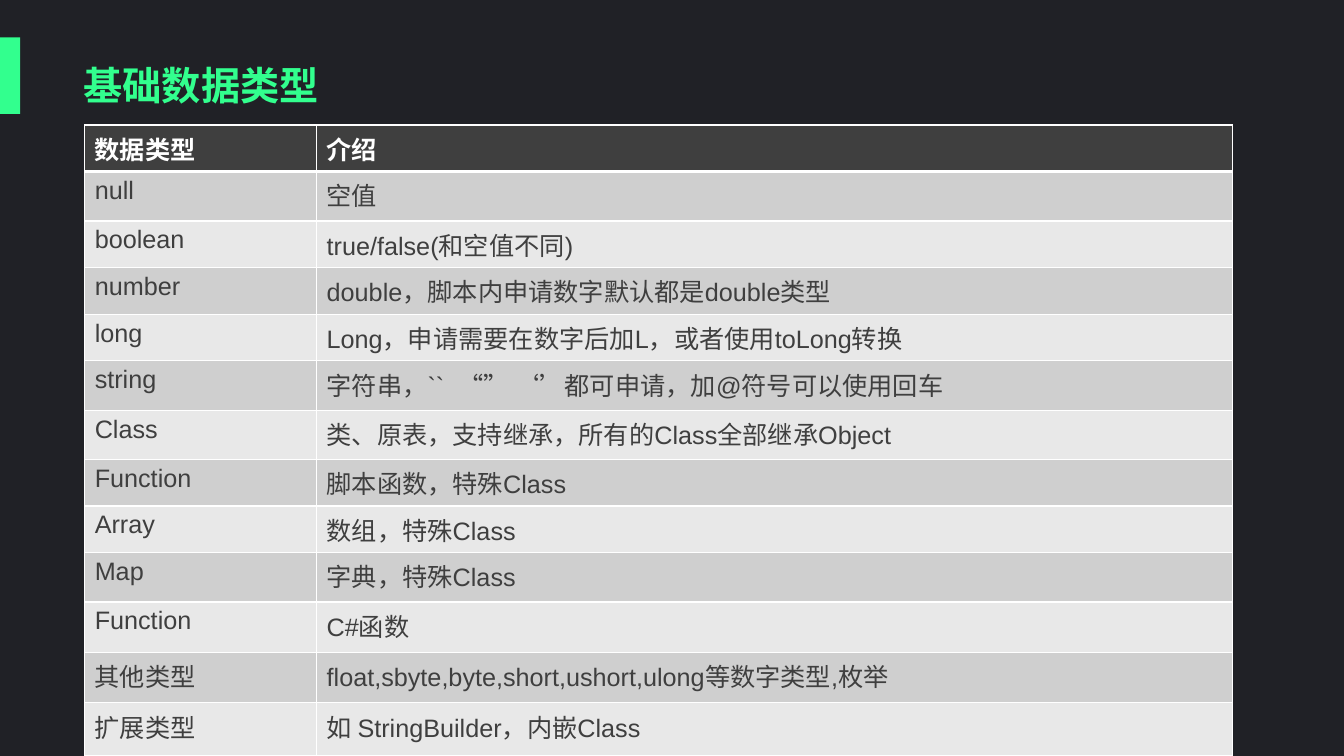
"""Build the slide that lists the basic data types of a scripting language."""
from dataclasses import dataclass

from lxml.etree import SubElement
from pptx import Presentation
from pptx.dml.color import RGBColor
from pptx.enum.shapes import MSO_SHAPE as Shape
from pptx.enum.text import MSO_ANCHOR as Anchor, PP_ALIGN as Align
from pptx.oxml.ns import qn
from pptx.slide import Slide
from pptx.table import _Cell as Cell
from pptx.text.text import _Paragraph as Paragraph
from pptx.util import Inches, Pt

FONT = "Arial"
BACKGROUND, GREEN, WHITE = "202126", "32FF8E", "FFFFFF"
DARK_GREY, BANDS = "3F3F3F", ("CFCFCF", "E8E8E8")
COLUMN_WIDTHS = (2.3, 9.08)


@dataclass(frozen=True)
class TypeRow:
    name: str
    description: str
    height: float


HEADER = TypeRow("数据类型", "介绍", 0.42)
TYPE_ROWS = (
    TypeRow("null", "空值", 0.49),
    TypeRow("boolean", "true/false(和空值不同)", 0.45),
    TypeRow("number", "double，脚本内申请数字默认都是double类型", 0.42),
    TypeRow("long", "Long，申请需要在数字后加L，或者使用toLong转换", 0.39),
    TypeRow("string", "字符串，``  “” ‘’都可申请，加@符号可以使用回车", 0.49),
    TypeRow("Class", "类、原表，支持继承，所有的Class全部继承Object", 0.49),
    TypeRow("Function", "脚本函数，特殊Class", 0.44),
    TypeRow("Array", "数组，特殊Class", 0.44),
    TypeRow("Map", "字典，特殊Class", 0.49),
    TypeRow("Function", "C#函数", 0.5),
    TypeRow("其他类型", "float,sbyte,byte,short,ushort,ulong等数字类型,枚举", 0.5),
    TypeRow("扩展类型", "如 StringBuilder，内嵌Class", 0.52),
)


def color(value: str) -> RGBColor:
    return RGBColor.from_string(value)


def add_text(paragraph: Paragraph, text: str, size: int, font_color: str, bold: bool) -> None:
    run = paragraph.add_run()
    run.text = text
    run.font.name = FONT
    run.font.size = Pt(size)
    run.font.bold = bold
    run.font.color.rgb = color(font_color)


def add_border(cell: Cell, side: str, width: int) -> None:
    properties = cell._tc.get_or_add_tcPr()
    line = SubElement(properties, qn(f"a:ln{side}"), w=str(Pt(width)))
    fill = SubElement(line, qn("a:solidFill"))
    SubElement(fill, qn("a:srgbClr"), val=WHITE)


def format_cell(cell: Cell, text: str, row: int) -> None:
    is_header = row == 0
    widths = {"L": 1, "R": 1, "T": 3 if row == 1 else 1, "B": 3 if is_header else 1}
    for side, width in widths.items():
        add_border(cell, side, width)
    cell.fill.solid()
    cell.fill.fore_color.rgb = color(DARK_GREY if is_header else BANDS[(row - 1) % 2])
    add_text(cell.text_frame.paragraphs[0], text, 18, WHITE if is_header else DARK_GREY, is_header)


def add_accent(slide: Slide) -> None:
    accent = slide.shapes.add_shape(Shape.RECTANGLE, Inches(0), Inches(0.37), Inches(0.2), Inches(0.76))
    accent.shadow.inherit = False
    accent.fill.solid()
    accent.fill.fore_color.rgb = color(GREEN)
    accent.line.fill.background()


def add_title(slide: Slide, text: str) -> None:
    title = slide.shapes.title
    title.left, title.top = Inches(0.73), Inches(0.3)
    title.width, title.height = Inches(11.87), Inches(0.83)
    title.text_frame.vertical_anchor = Anchor.BOTTOM
    paragraph = title.text_frame.paragraphs[0]
    paragraph.alignment = Align.LEFT
    paragraph.line_spacing = 0.9
    add_text(paragraph, text, 28, GREEN, True)


def add_type_table(slide: Slide) -> None:
    rows = (HEADER, *TYPE_ROWS)
    table = slide.shapes.add_table(
        len(rows), len(COLUMN_WIDTHS), Inches(0.84), Inches(1.24),
        Inches(sum(COLUMN_WIDTHS)), Inches(sum(row.height for row in rows)),
    ).table
    for column, width in zip(table.columns, COLUMN_WIDTHS):
        column.width = Inches(width)
    for index, row in enumerate(rows):
        table.rows[index].height = Inches(row.height)
        format_cell(table.cell(index, 0), row.name, index)
        format_cell(table.cell(index, 1), row.description, index)


def main() -> None:
    presentation = Presentation()
    presentation.slide_width, presentation.slide_height = Inches(13.33), Inches(7.5)
    slide = presentation.slides.add_slide(presentation.slide_layouts.get_by_name("Title Only"))
    slide.background.fill.solid()
    slide.background.fill.fore_color.rgb = color(BACKGROUND)
    add_accent(slide)
    add_title(slide, "基础数据类型")
    add_type_table(slide)
    presentation.save("out.pptx")


if __name__ == "__main__":
    main()
